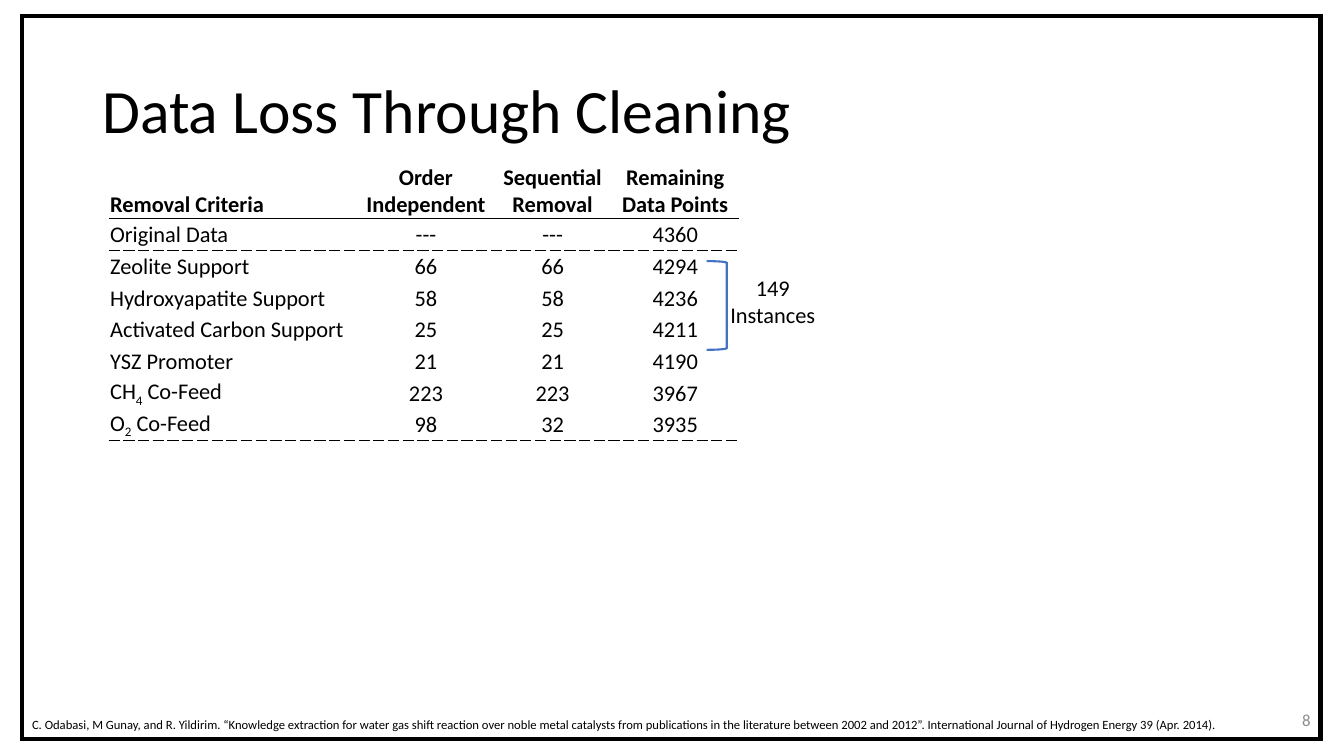
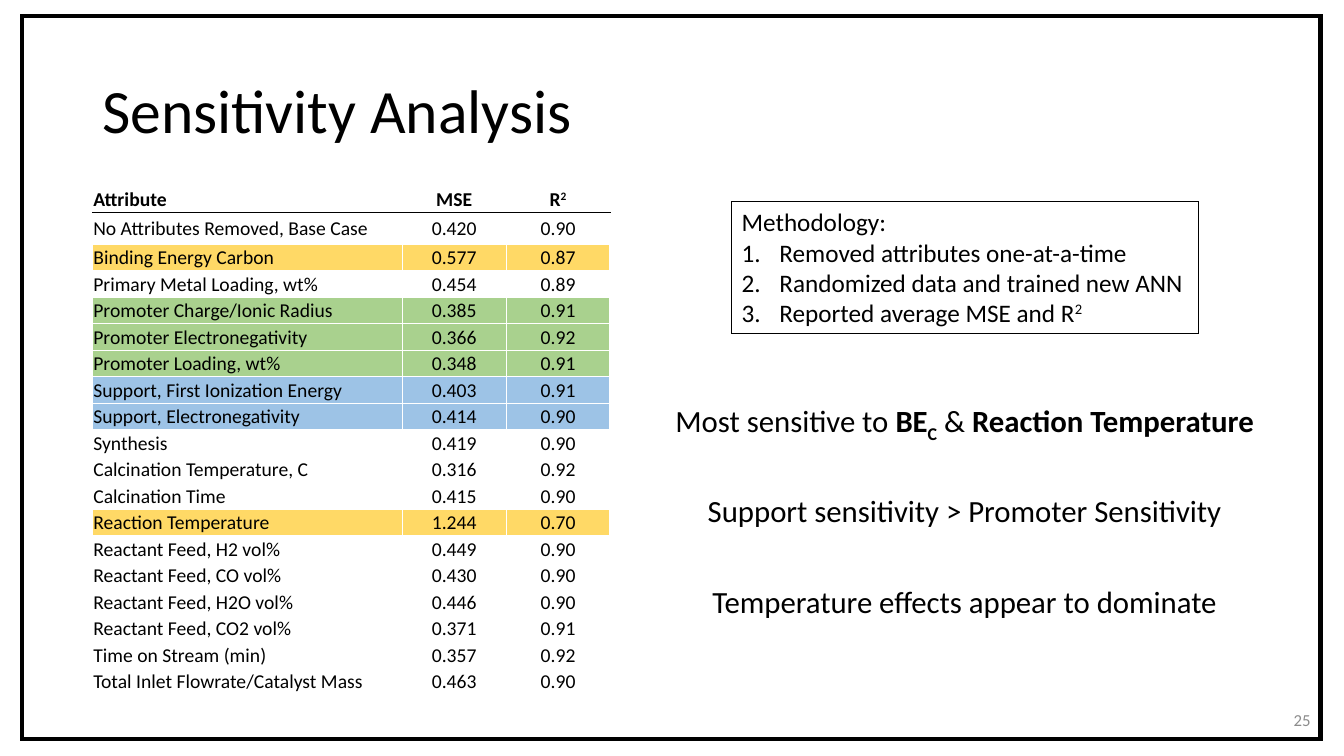
from dataclasses import dataclass

from lxml.etree import SubElement
from pptx import Presentation
from pptx.dml.color import RGBColor
from pptx.enum.shapes import MSO_SHAPE as Shape
from pptx.enum.text import MSO_ANCHOR as Anchor, PP_ALIGN as Align
from pptx.oxml.ns import qn
from pptx.util import Pt


@dataclass(frozen=True)
class Theme:
    font: str = "Calibri"
    ink: str = "000000"
    paper: str = "FFFFFF"
    muted: str = "8C8C8C"
    accent: str = "4472C4"
    gold: str = "FFD966"
    green: str = "A9D18E"
    blue: str = "9DC3E6"
    title: int = 44
    finding: int = 22
    method: int = 18
    body: int = 16
    small_body: int = 14
    number: int = 12
    citation: int = 9


THEME = Theme()
WHITE_RULE = (THEME.paper, 1, "solid")
HEAD_RULE = (THEME.ink, 1, "solid")
DASH_RULE = (THEME.ink, 0.75, "sysDash")

# A text is a string or a list of (string, style) spans; styles are "", "b", "sub", "sup", "b sub".
CLEANING_ROWS = [
    ("Removal Criteria", "Order\nIndependent", "Sequential\nRemoval", "Remaining\nData Points"),
    ("Original Data", "---", "---", "4360"),
    ("Zeolite Support", "66", "66", "4294"),
    ("Hydroxyapatite Support", "58", "58", "4236"),
    ("Activated Carbon Support", "25", "25", "4211"),
    ("YSZ Promoter", "21", "21", "4190"),
    ([("CH", ""), ("4", "sub"), (" Co-Feed", "")], "223", "223", "3967"),
    ([("O", ""), ("2", "sub"), (" Co-Feed", "")], "98", "32", "3935"),
]
CITATION = (
    "C. Odabasi, M Gunay, and R. Yildirim. “Knowledge extraction for water gas shift reaction "
    "over noble metal catalysts from publications in the literature between 2002 and 2012”. "
    "International Journal of Hydrogen Energy 39 (Apr. 2014)."
)

SENSITIVITY_ROWS = [
    ("Attribute", "MSE", [("R", ""), ("2", "sup")]),
    ("No Attributes Removed, Base Case", "0.420", "0.90"),
    ("Binding Energy Carbon", "0.577", "0.87"),
    ("Primary Metal Loading, wt%", "0.454", "0.89"),
    ("Promoter Charge/Ionic Radius", "0.385", "0.91"),
    ("Promoter Electronegativity", "0.366", "0.92"),
    ("Promoter Loading, wt%", "0.348", "0.91"),
    ("Support, First Ionization Energy", "0.403", "0.91"),
    ("Support, Electronegativity", "0.414", "0.90"),
    ("Synthesis", "0.419", "0.90"),
    ("Calcination Temperature, C", "0.316", "0.92"),
    ("Calcination Time", "0.415", "0.90"),
    ("Reaction Temperature", "1.244", "0.70"),
    ("Reactant Feed, H2 vol%", "0.449", "0.90"),
    ("Reactant Feed, CO vol%", "0.430", "0.90"),
    ("Reactant Feed, H2O vol%", "0.446", "0.90"),
    ("Reactant Feed, CO2 vol%", "0.371", "0.91"),
    ("Time on Stream (min)", "0.357", "0.92"),
    ("Total Inlet Flowrate/Catalyst Mass", "0.463", "0.90"),
]
ROW_FILLS = {
    "Binding": THEME.gold,
    "Reaction": THEME.gold,
    "Promoter": THEME.green,
    "Support,": THEME.blue,
}
METHOD_STEPS = [
    "Removed attributes one-at-a-time",
    "Randomized data and trained new ANN",
    [("Reported average MSE and R", ""), ("2", "sup")],
]
FINDINGS = [
    [("Most sensitive to ", ""), ("BE", "b"), ("C", "b sub"), (" & ", ""),
     ("Reaction Temperature", "b")],
    "Support sensitivity > Promoter Sensitivity",
    "Temperature effects appear to dominate",
]


def rgb(color):
    return RGBColor.from_string(color)


def write(para, text, size, color=THEME.ink, align=Align.LEFT, bold=False):
    para.alignment = align
    font = para.font
    font.name, font.size, font.bold = THEME.font, Pt(size), bold
    font.color.rgb = rgb(color)
    for words, style in [(text, "")] if isinstance(text, str) else text:
        for index, line in enumerate(words.split("\n")):
            if index:
                para.add_line_break()
            span = para.add_run()
            span.text = line
            if "b" in style.split():
                span.font.bold = True
            if "su" in style:
                shift = "-25000" if "sub" in style else "30000"
                span.font._element.set("baseline", shift)


def add_text(page, place, lines, size, anchor=Anchor.TOP, **look):
    box = page.shapes.add_textbox(*map(Pt, place))
    frame = box.text_frame
    frame.word_wrap = True
    frame.vertical_anchor = anchor
    for index, line in enumerate(lines):
        para = frame.add_paragraph() if index else frame.paragraphs[0]
        write(para, line, size, **look)
    return box


def add_outline(page, kind, place, color, width):
    """Add an unfilled shape whose line has sharp corners."""
    shape = page.shapes.add_shape(kind, *map(Pt, place))
    shape.shadow.inherit = False
    shape.fill.background()
    shape.line.color.rgb = rgb(color)
    shape.line.width = Pt(width)
    SubElement(shape._element.spPr.find(qn("a:ln")), qn("a:miter"), lim="800000")
    return shape


def set_borders(cell, **rules):
    """Draw cell edges; this must run before the cell is filled."""
    props = cell._tc.get_or_add_tcPr()
    for edge in ("L", "R", "T", "B"):
        color, width, dash = rules.get(edge, WHITE_RULE)
        line = SubElement(props, qn(f"a:ln{edge}"), w=str(int(Pt(width))))
        SubElement(SubElement(line, qn("a:solidFill")), qn("a:srgbClr"), val=color)
        SubElement(line, qn("a:prstDash"), val=dash)


def add_grid(page, corner, rows, widths, heights, size, rules, fills=None, head_anchor=Anchor.MIDDLE):
    """Add a table; rules maps a row number to the line below that row."""
    place = (*corner, sum(widths), sum(heights))
    table = page.shapes.add_table(len(rows), len(widths), *map(Pt, place)).table
    table.first_row = table.horz_banding = False
    for column, width in zip(table.columns, widths):
        column.width = Pt(width)
    for r, (row, height) in enumerate(zip(rows, heights)):
        table.rows[r].height = Pt(height)
        first_word = row[0].split()[0] if isinstance(row[0], str) else ""
        fill = (fills or {}).get(first_word)
        for c, text in enumerate(row):
            cell = table.cell(r, c)
            cell.margin_left = cell.margin_right = cell.margin_top = Pt(0.7)
            cell.margin_bottom = 0
            cell.vertical_anchor = Anchor.MIDDLE if r else head_anchor
            set_borders(cell, T=rules.get(r - 1, WHITE_RULE), B=rules.get(r, WHITE_RULE))
            if fill:
                cell.fill.solid()
                cell.fill.fore_color.rgb = rgb(fill)
            else:
                cell.fill.background()
            write(cell.text_frame.paragraphs[0], text, size,
                  align=Align.CENTER if c else Align.LEFT, bold=r == 0)


def add_page(deck, title, number):
    page = deck.slides.add_slide(deck.slide_layouts[6])
    add_outline(page, Shape.RECTANGLE, (15.8, 11.5, 927.4, 516.2), THEME.ink, 3)
    heading = add_text(page, (66, 28.75, 828, 104.4), [title], THEME.title, Anchor.MIDDLE)
    heading.text_frame.paragraphs[0].line_spacing = 0.9
    add_text(page, (727.2, 499.7, 216, 28.8), [number], THEME.number, Anchor.MIDDLE,
             color=THEME.muted, align=Align.RIGHT)
    return page


def add_cleaning_page(deck):
    page = add_page(deck, "Data Loss Through Cleaning", "8")
    last = len(CLEANING_ROWS) - 1
    add_grid(page, (78, 112.3), CLEANING_ROWS, [178, 96.5, 84.5, 90.7], [44] + [22.64] * last,
             THEME.body, {0: HEAD_RULE, 1: DASH_RULE, last: DASH_RULE}, head_anchor=Anchor.BOTTOM)
    add_text(page, (15.8, 508.3, 870.5, 18), [CITATION], THEME.citation)
    add_outline(page, Shape.RIGHT_BRACKET, (504.7, 186.5, 14.4, 63.4), THEME.accent, 1.5)
    add_text(page, (507, 192.2, 90, 46), ["149", "Instances"], THEME.body, align=Align.CENTER)


def add_method_box(page):
    box = add_outline(page, Shape.RECTANGLE, (522.7, 144, 333.4, 94.3), THEME.ink, 0.75)
    frame = box.text_frame
    frame.word_wrap = True
    frame.vertical_anchor = Anchor.TOP
    write(frame.paragraphs[0], "Methodology:", THEME.method)
    for step in METHOD_STEPS:
        para = frame.add_paragraph()
        props = para._p.get_or_add_pPr()
        props.set("marL", str(int(Pt(27))))
        props.set("indent", str(int(Pt(-27))))
        SubElement(props, qn("a:buFont"), typeface="+mj-lt")
        SubElement(props, qn("a:buAutoNum"), type="arabicPeriod")
        write(para, step, THEME.method)


def add_sensitivity_page(deck):
    page = add_page(deck, "Sensitivity Analysis", "25")
    heights = [18.95, 22.5] + [18.95] * (len(SENSITIVITY_ROWS) - 2)
    add_grid(page, (66, 133), SENSITIVITY_ROWS, [221.4, 74.2, 74.2], heights,
             THEME.small_body, {0: HEAD_RULE}, ROW_FILLS)
    add_method_box(page)
    for index, finding in enumerate(FINDINGS):
        add_text(page, (464, 283.5 + 64.5 * index, 450, 34), [finding], THEME.finding,
                 align=Align.CENTER)


def main():
    deck = Presentation()
    deck.slide_width, deck.slide_height = Pt(960), Pt(540)
    add_cleaning_page(deck)
    add_sensitivity_page(deck)
    deck.save("out.pptx")


if __name__ == "__main__":
    main()
